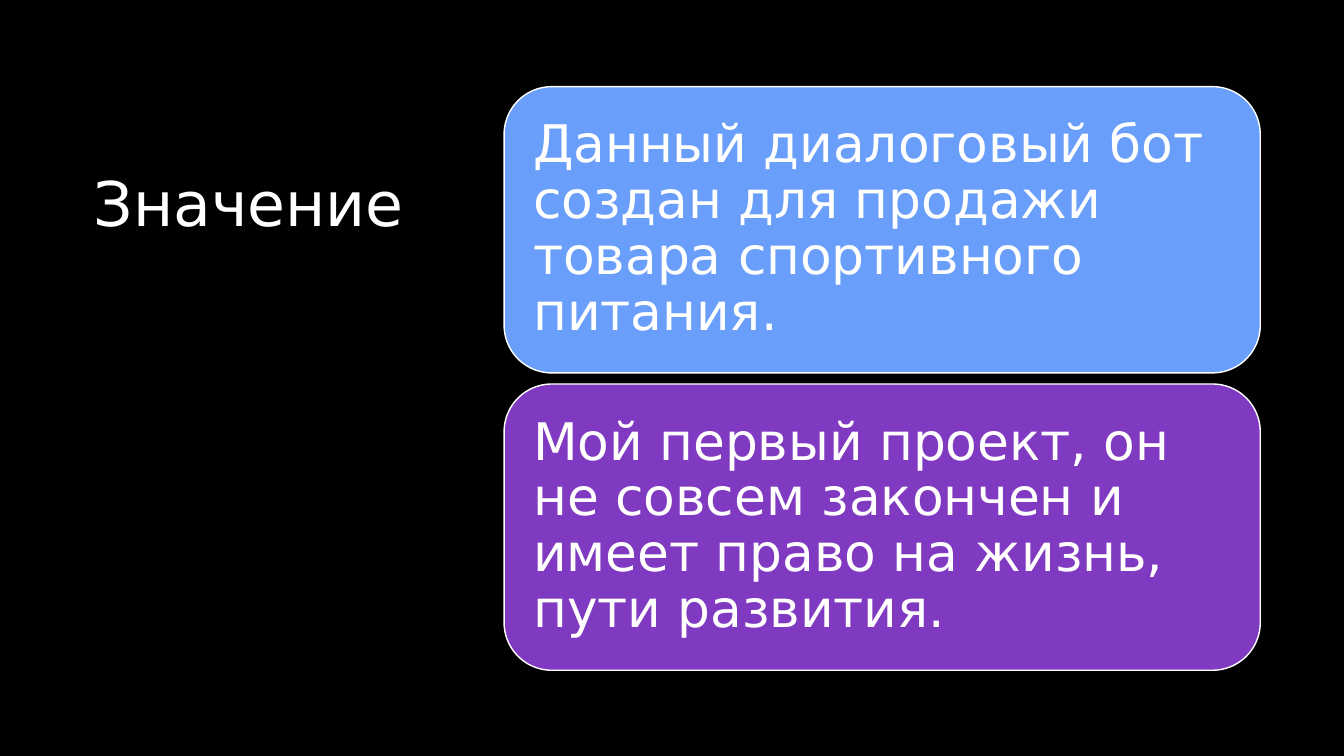
from pptx import Presentation
from pptx.dml.color import RGBColor
from pptx.enum.shapes import MSO_SHAPE
from pptx.enum.text import MSO_ANCHOR, MSO_AUTO_SIZE, PP_ALIGN
from pptx.util import Pt

PX = 9144  # 100 px to the inch
COLOURS = {"black": "000000", "white": "FFFFFF", "blue": "699EFA", "purple": "8039C1"}
FONT = "DejaVu Sans"
CARD_GAP = 11
CARDS = [
    ("blue", "Данный диалоговый бот создан для продажи товара спортивного питания."),
    ("purple", "Мой первый проект, он не совсем закончен и имеет право на жизнь, пути развития."),
]


def colour(name):
    return RGBColor.from_string(COLOURS[name])


def set_all(target, values):
    for name, value in values.items():
        setattr(target, name, value)


def write(shape, text, size, anchor, inset_x, inset_y):
    frame = shape.text_frame
    set_all(frame, {
        "word_wrap": True,
        "auto_size": MSO_AUTO_SIZE.NONE,
        "vertical_anchor": anchor,
        "margin_left": inset_x * PX,
        "margin_right": inset_x * PX,
        "margin_top": inset_y * PX,
        "margin_bottom": inset_y * PX,
    })
    para = frame.paragraphs[0]
    set_all(para, {"alignment": PP_ALIGN.LEFT, "line_spacing": 0.9})
    span = para.add_run()
    span.text = text
    set_all(span.font, {"name": FONT, "size": Pt(size)})
    span.font.color.rgb = colour("white")


def place_title(page, left, top, width, height):
    title = page.shapes.title
    set_all(title, {"left": left * PX, "top": top * PX,
                    "width": width * PX, "height": height * PX})
    write(title, "Значение", 44, MSO_ANCHOR.TOP, 10, 5)


def add_cards(page, left, top, width, height):
    """Stack the cards evenly inside the given box."""
    card_height = (height - CARD_GAP * (len(CARDS) - 1)) // len(CARDS)
    for index, (fill, text) in enumerate(CARDS):
        card_top = top + index * (card_height + CARD_GAP)
        card = page.shapes.add_shape(MSO_SHAPE.ROUNDED_RECTANGLE, left * PX,
                                     card_top * PX, width * PX, card_height * PX)
        card.shadow.inherit = False
        card.fill.solid()
        card.fill.fore_color.rgb = colour(fill)
        card.line.color.rgb = colour("white")
        card.line.width = Pt(1)
        write(card, text, 37, MSO_ANCHOR.MIDDLE, 15, 15)


def main():
    deck = Presentation()
    set_all(deck, {"slide_width": 1333 * PX, "slide_height": 750 * PX})
    page = deck.slides.add_slide(deck.slide_layouts[5])
    page.background.fill.solid()
    page.background.fill.fore_color.rgb = colour("black")
    place_title(page, 83, 167, 417, 416)
    add_cards(page, 500, 86, 750, 579)
    deck.save("out.pptx")


if __name__ == "__main__":
    main()
